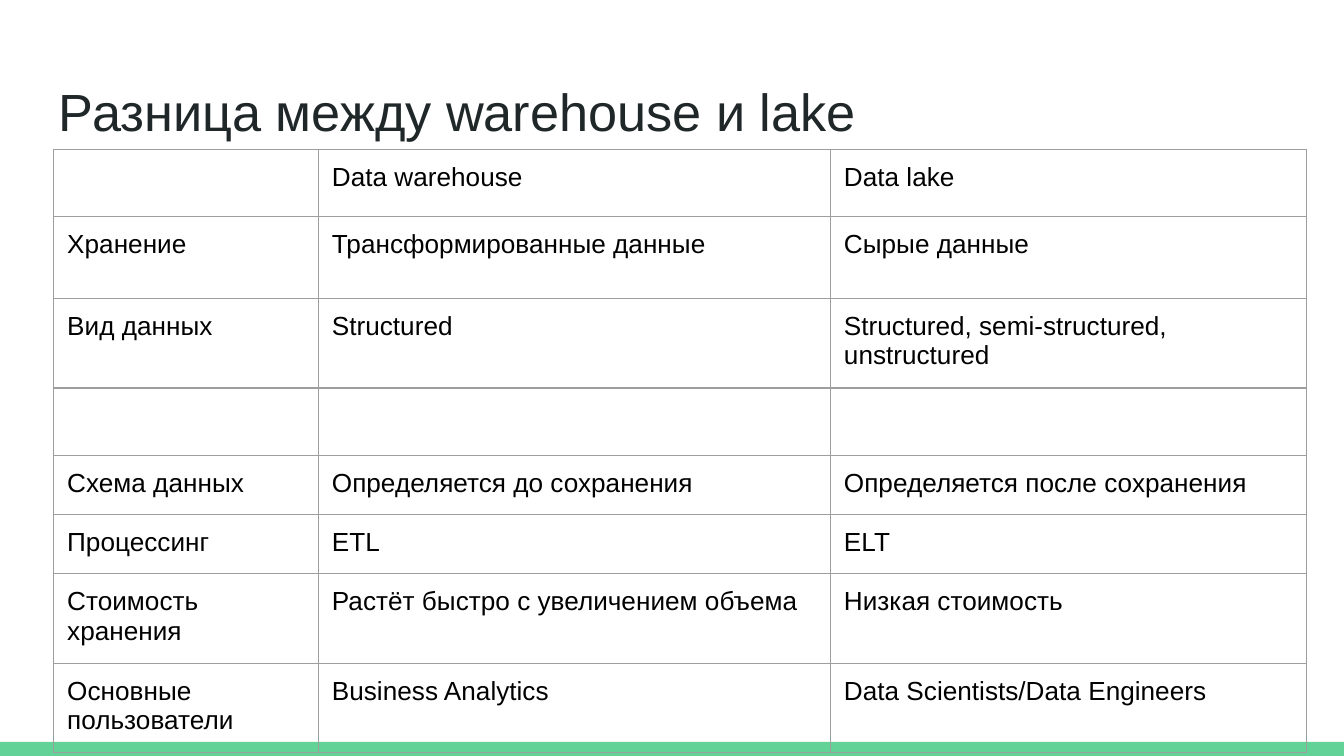
from dataclasses import dataclass

from lxml import etree
from pptx import Presentation
from pptx import util as u
from pptx.dml.color import RGBColor
from pptx.enum import shapes, text
from pptx.oxml import ns


@dataclass(frozen=True)
class Theme:
    font: str = "Arial"
    title_size: int = 28
    body_size: int = 14
    title: str = "202729"
    body: str = "000000"
    accent: str = "63D297"
    border: str = "9E9E9E"
    border_width: float = 0.75
    inset: float = 0.1


class SlideBuilder:
    """Draw themed elements on one slide."""

    def __init__(self, s, theme):
        self.s = s
        self.theme = theme

    def style(self, p, size, color):
        p.font.name = self.theme.font
        p.font.size = u.Pt(size)
        p.font.color.rgb = RGBColor.from_string(color)

    def pad(self, box):
        box.margin_left = box.margin_right = u.Inches(self.theme.inset)
        box.margin_top = box.margin_bottom = u.Inches(self.theme.inset)

    def bar(self, *box):
        sp = self.s.shapes.add_shape(
            shapes.MSO_SHAPE.RECTANGLE, *map(u.Inches, box))
        sp.shadow.inherit = False
        sp.fill.solid()
        sp.fill.fore_color.rgb = RGBColor.from_string(self.theme.accent)
        sp.line.fill.background()

    def title(self, words, *box):
        tf = self.s.shapes.add_textbox(*map(u.Inches, box)).text_frame
        tf.word_wrap = True
        tf.vertical_anchor = text.MSO_ANCHOR.TOP
        self.pad(tf)
        p = tf.paragraphs[0]
        p.text = words
        self.style(p, self.theme.title_size, self.theme.title)

    def borders(self, cell):
        tc_pr = cell._tc.get_or_add_tcPr()
        for side in ("lnL", "lnR", "lnT", "lnB"):
            ln = etree.SubElement(tc_pr, ns.qn(f"a:{side}"),
                                  w=str(u.Pt(self.theme.border_width)))
            fill = etree.SubElement(ln, ns.qn("a:solidFill"))
            etree.SubElement(fill, ns.qn("a:srgbClr"), val=self.theme.border)

    def cell(self, cell, words):
        self.pad(cell)
        self.borders(cell)
        cell.fill.background()
        if words:
            p = cell.text_frame.paragraphs[0]
            p.text = words
            self.style(p, self.theme.body_size, self.theme.body)

    def table(self, rows, box, widths, heights):
        frame = self.s.shapes.add_table(
            len(rows), len(widths), *map(u.Inches, box))
        table = frame.table
        table.first_row = table.horz_banding = False
        for column, width in zip(table.columns, widths):
            column.width = u.Inches(width)
        for row, height, words in zip(table.rows, heights, rows):
            row.height = u.Inches(height)
            for cell, value in zip(row.cells, words):
                self.cell(cell, value)
        frame.width, frame.height = map(u.Inches, box[2:])


COMPARISON = [
    ("", "Data warehouse", "Data lake"),
    ("Хранение", "Трансформированные данные", "Сырые данные"),
    ("Вид данных", "Structured", "Structured, semi-structured, unstructured"),
    ("", "", ""),
    ("Схема данных", "Определяется до сохранения", "Определяется после сохранения"),
    ("Процессинг", "ETL", "ELT"),
    ("Стоимость хранения", "Растёт быстро с увеличением объема", "Низкая стоимость"),
    ("Основные пользователи", "Business Analytics", "Data Scientists/Data Engineers"),
]


def main():
    prs = Presentation()
    prs.slide_width, prs.slide_height = u.Inches(10), u.Inches(10 * 9 / 16)
    builder = SlideBuilder(prs.slides.add_slide(prs.slide_layouts[6]), Theme())
    builder.bar(0, 5.52, 10, 0.11)
    builder.title("Разница между warehouse и lake", 0.34, 0.49, 9.32, 0.63)
    builder.table(COMPARISON, (0.4, 1.11, 3.28, 3.28), (1.97, 3.81, 3.54),
                  (0.46, 0.61, 0.61, 0.44, 0.44, 0.44, 0.44, 0.61))
    prs.save("out.pptx")


if __name__ == "__main__":
    main()
